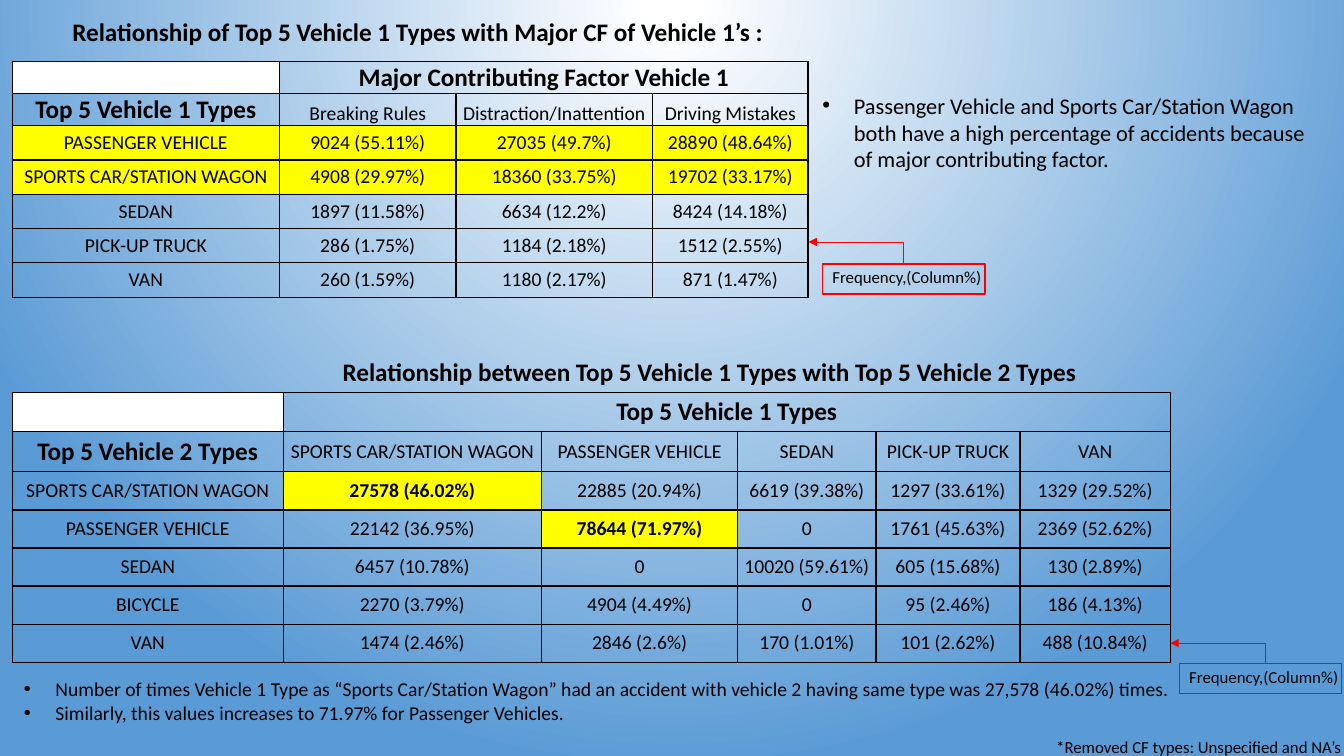
from lxml import etree
from pptx import Presentation
from pptx.dml.color import RGBColor
from pptx.enum.shapes import MSO_CONNECTOR, MSO_SHAPE
from pptx.enum.text import MSO_ANCHOR, MSO_AUTO_SIZE, PP_ALIGN
from pptx.oxml import parse_xml
from pptx.oxml.ns import qn
from pptx.util import Pt

ELBOW = MSO_CONNECTOR.ELBOW
RECTANGLE = MSO_SHAPE.RECTANGLE
BOTTOM, MIDDLE = MSO_ANCHOR.BOTTOM, MSO_ANCHOR.MIDDLE
FIT_TEXT = MSO_AUTO_SIZE.SHAPE_TO_FIT_TEXT
CENTER = PP_ALIGN.CENTER

BLACK = RGBColor(0x00, 0x00, 0x00)
WHITE = RGBColor(0xFF, 0xFF, 0xFF)
YELLOW = RGBColor(0xFF, 0xFF, 0x00)
RED = RGBColor(0xFF, 0x00, 0x00)
BLUE = RGBColor(0x5B, 0x9B, 0xD5)

FONT = "Calibri"
DRAWING_NS = "http://schemas.openxmlformats.org/drawingml/2006/main"
SLIDE_NS = "http://schemas.openxmlformats.org/presentationml/2006/main"

FACTOR_ROWS = [
    ["", "Major Contributing Factor Vehicle 1", "", ""],
    ["Top 5 Vehicle 1 Types", "Breaking Rules", "Distraction/Inattention", "Driving Mistakes"],
    ["PASSENGER VEHICLE", "9024 (55.11%)", "27035 (49.7%)", "28890 (48.64%)"],
    ["SPORTS CAR/STATION WAGON", "4908 (29.97%)", "18360 (33.75%)", "19702 (33.17%)"],
    ["SEDAN", "1897 (11.58%)", "6634 (12.2%)", "8424 (14.18%)"],
    ["PICK-UP TRUCK", "286 (1.75%)", "1184 (2.18%)", "1512 (2.55%)"],
    ["VAN", "260 (1.59%)", "1180 (2.17%)", "871 (1.47%)"],
]
PAIR_ROWS = [
    ["", "Top 5 Vehicle 1 Types", "", "", "", ""],
    ["Top 5 Vehicle 2 Types", "SPORTS CAR/STATION WAGON", "PASSENGER VEHICLE", "SEDAN",
     "PICK-UP TRUCK", "VAN"],
    ["SPORTS CAR/STATION WAGON", "27578 (46.02%)", "22885 (20.94%)", "6619 (39.38%)",
     "1297 (33.61%)", "1329 (29.52%)"],
    ["PASSENGER VEHICLE", "22142 (36.95%)", "78644 (71.97%)", "0",
     "1761 (45.63%)", "2369 (52.62%)"],
    ["SEDAN", "6457 (10.78%)", "0", "10020 (59.61%)", "605 (15.68%)", "130 (2.89%)"],
    ["BICYCLE", "2270 (3.79%)", "4904 (4.49%)", "0", "95 (2.46%)", "186 (4.13%)"],
    ["VAN", "1474 (2.46%)", "2846 (2.6%)", "170 (1.01%)", "101 (2.62%)", "488 (10.84%)"],
]


def set_background(slide):
    stops = "".join(
        f'<a:gs pos="{percent * 1000}"><a:srgbClr val="{color}"/></a:gs>'
        for percent, color in [(0, WHITE), (3, WHITE), (100, BLUE)])
    background = parse_xml(
        f'<p:bg xmlns:p="{SLIDE_NS}" xmlns:a="{DRAWING_NS}"><p:bgPr>'
        f'<a:gradFill rotWithShape="1"><a:gsLst>{stops}</a:gsLst><a:path path="circle">'
        '<a:fillToRect l="50000" t="-80000" r="50000" b="180000"/></a:path></a:gradFill>'
        '<a:effectLst/></p:bgPr></p:bg>')
    slide.element.find(qn("p:cSld")).insert(0, background)


def style_font(paragraph, size, bold=False):
    font = paragraph.font
    font.name, font.size, font.bold = FONT, Pt(size), bold
    font.color.rgb = BLACK


def add_bullet(paragraph):
    properties = paragraph._p.get_or_add_pPr()
    properties.set("marL", str(Pt(22.5)))
    properties.set("indent", str(-Pt(22.5)))
    properties.insert(0, properties.makeelement(qn("a:buFont"), {"typeface": "Arial"}))
    properties.insert(1, properties.makeelement(qn("a:buChar"), {"char": "•"}))


def add_text(slide, box, lines, size, bold=False, bullets=False, wrap=True):
    frame = slide.shapes.add_textbox(*map(Pt, box)).text_frame
    frame.word_wrap = wrap
    frame.auto_size = FIT_TEXT
    for index, line in enumerate(lines):
        paragraph = frame.add_paragraph() if index else frame.paragraphs[0]
        paragraph.text = line
        style_font(paragraph, size, bold)
        if bullets:
            add_bullet(paragraph)


def add_borders(cell):
    properties = cell._tc.get_or_add_tcPr()
    for side in ("lnL", "lnR", "lnT", "lnB"):
        border = etree.SubElement(properties, qn(f"a:{side}"), w=str(Pt(1)))
        fill = etree.SubElement(border, qn("a:solidFill"))
        etree.SubElement(fill, qn("a:srgbClr"), val=str(BLACK))


def style_cell(cell, text, title, bold, fill, tight):
    cell.text = text
    cell.margin_left = cell.margin_right = Pt(0.75 if tight else 3.6)
    cell.margin_top = Pt(0.75 if tight else 2.9)
    cell.margin_bottom = Pt(0 if tight else 2.9)
    cell.vertical_anchor = BOTTOM if tight else MIDDLE
    paragraph = cell.text_frame.paragraphs[0]
    paragraph.alignment = CENTER
    style_font(paragraph, 18 if title else 14, bold)
    add_borders(cell)
    if fill is None:
        cell.fill.background()
    else:
        cell.fill.solid()
        cell.fill.fore_color.rgb = fill


def add_crosstab(slide, left, top, widths, heights, rows, highlights,
                 tight_rows=0, bold_highlights=False):
    frame = slide.shapes.add_table(len(rows), len(widths), Pt(left), Pt(top),
                                   Pt(sum(widths)), Pt(sum(heights)))
    table = frame.table
    table.first_row = table.horz_banding = False
    for column, width in zip(table.columns, widths):
        column.width = Pt(width)
    for row, height in zip(table.rows, heights):
        row.height = Pt(height)
    for r, texts in enumerate(rows):
        for c, text in enumerate(texts):
            title = r == 0 or (r, c) == (1, 0)
            marked = (r, c) in highlights
            fill = WHITE if (r, c) == (0, 0) else YELLOW if marked else None
            style_cell(table.cell(r, c), text, title, title or (marked and bold_highlights),
                       fill, r < tight_rows)
    table.cell(0, 1).merge(table.cell(0, len(widths) - 1))


def add_frequency_key(slide, left, top, arrow_tip, arrow_start):
    add_text(slide, (left, top - 1.5, 122.4, 21.6), ["Frequency,(Column%)"], 12)
    key = slide.shapes.add_shape(RECTANGLE, Pt(left), Pt(top), Pt(116), Pt(21.6))
    key.shadow.inherit = False
    key.fill.background()
    key.line.color.rgb = RED
    key.line.width = Pt(1)

    # Arrow from the key to the table edge
    arrow = slide.shapes.add_connector(ELBOW, *map(Pt, arrow_tip + arrow_start))
    arrow.line.color.rgb = RED
    arrow.line.width = Pt(0.5)
    properties = arrow._element.spPr
    properties.find(qn("a:prstGeom")).set("prst", "bentConnector2")
    etree.SubElement(properties.find(qn("a:ln")), qn("a:headEnd"), type="triangle")
    etree.SubElement(properties, qn("a:effectLst"))


def main():
    presentation = Presentation()
    presentation.slide_width, presentation.slide_height = Pt(960), Pt(540)
    slide = presentation.slides.add_slide(presentation.slide_layouts[6])
    set_background(slide)

    # Vehicle 1 types by contributing factor
    add_text(slide, (44.6, 8, 524, 29),
             ["Relationship of Top 5 Vehicle 1 Types with Major CF of Vehicle 1’s :"], 18, bold=True)
    add_crosstab(slide, 8.7, 43.8, [191, 126, 140.5, 111], [23, 23] + [24.5] * 5, FACTOR_ROWS,
                 {(r, c) for r in (2, 3) for c in range(4)}, tight_rows=2)
    add_text(slide, (580.3, 62, 367, 65.5),
             ["Passenger Vehicle and Sports Car/Station Wagon\v"
              "both have a high percentage of accidents because\v"
              "of major contributing factor."], 16, bullets=True, wrap=False)
    add_frequency_key(slide, 587.5, 188.6, (577.5, 172.8), (645, 188.6))

    # Vehicle 2 types by vehicle 1 types
    add_text(slide, (237.6, 250.6, 541.4, 29),
             ["Relationship between Top 5 Vehicle 1 Types with Top 5 Vehicle 2 Types"], 18, bold=True)
    add_crosstab(slide, 8.7, 280.1, [193.7, 184.3, 140.4, 98.6, 103, 107.3],
                 [28, 29] + [27.2] * 5, PAIR_ROWS, {(2, 1), (3, 2)}, bold_highlights=True)
    add_text(slide, (10, 480.2, 904.3, 41),
             ["Number of times Vehicle 1 Type as “Sports Car/Station Wagon” had an accident "
              "with vehicle 2 having same type was 27,578 (46.02%) times.",
              "Similarly, this values increases to 71.97% for Passenger Vehicles."],
             14, bullets=True)
    add_frequency_key(slide, 842.4, 474, (836, 459.4), (903.6, 474))

    # Footnote
    add_text(slide, (747.4, 522.7, 220.3, 21.6),
             ["*Removed CF types: Unspecified and NA’s"], 12, wrap=False)

    presentation.save("out.pptx")


if __name__ == "__main__":
    main()
